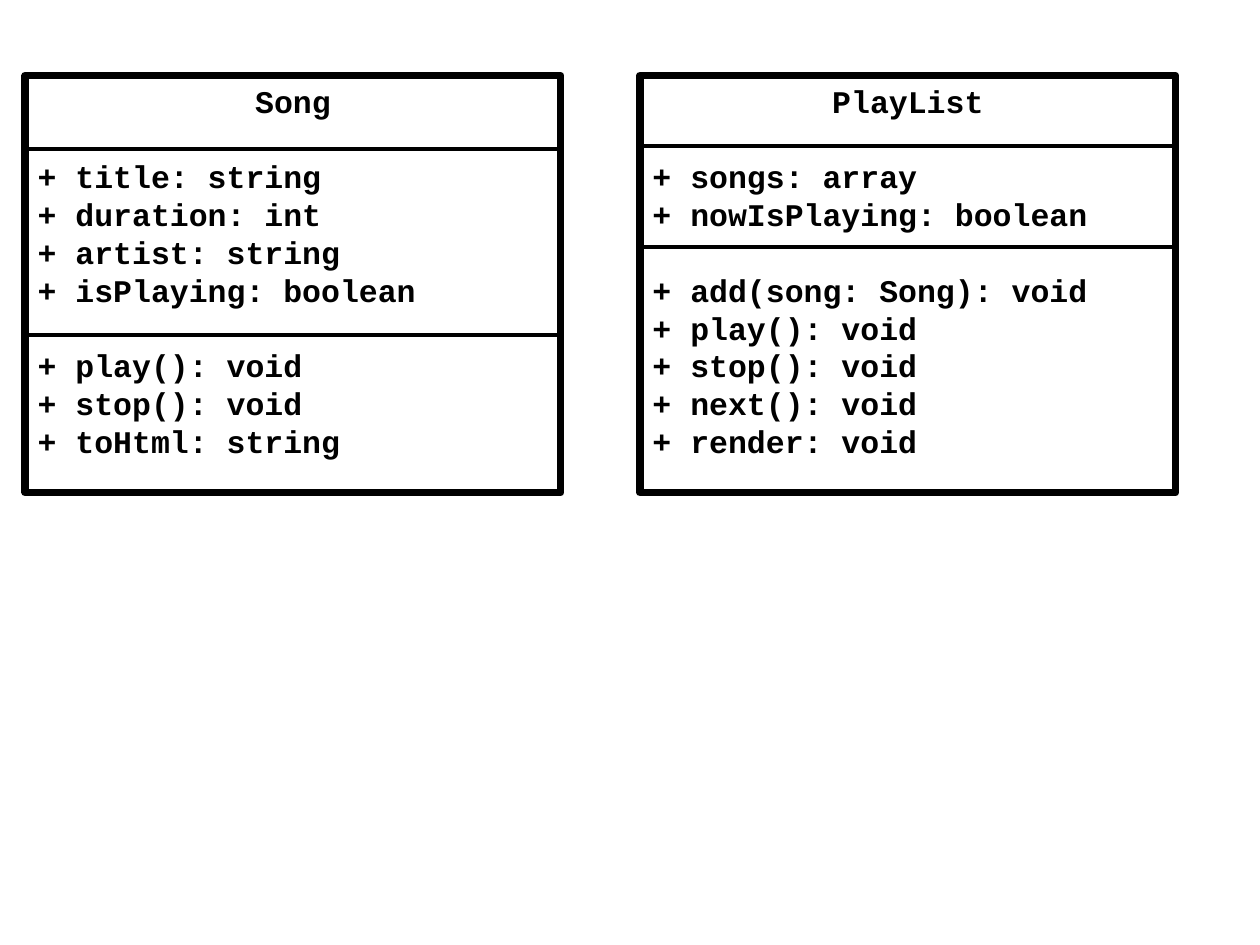
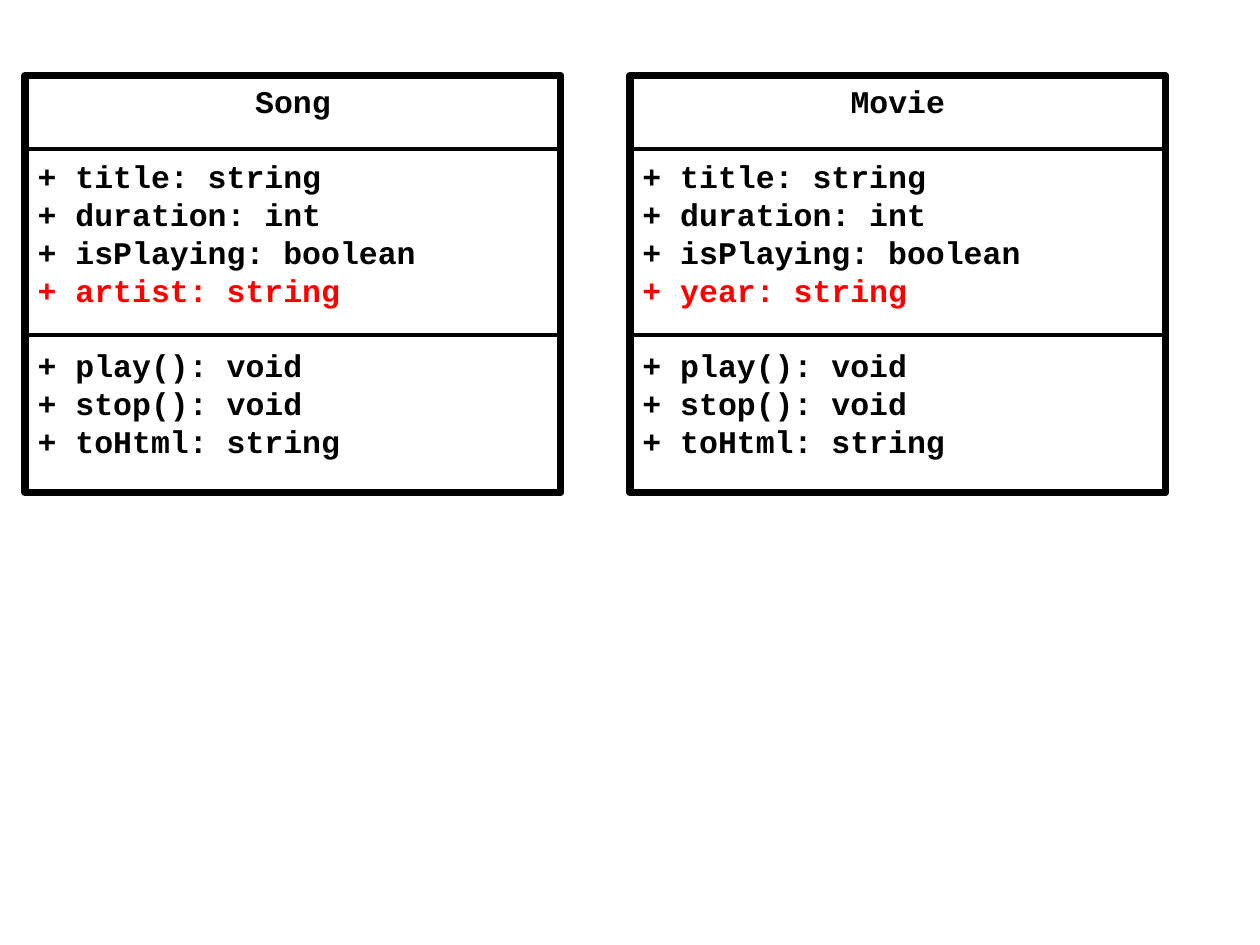
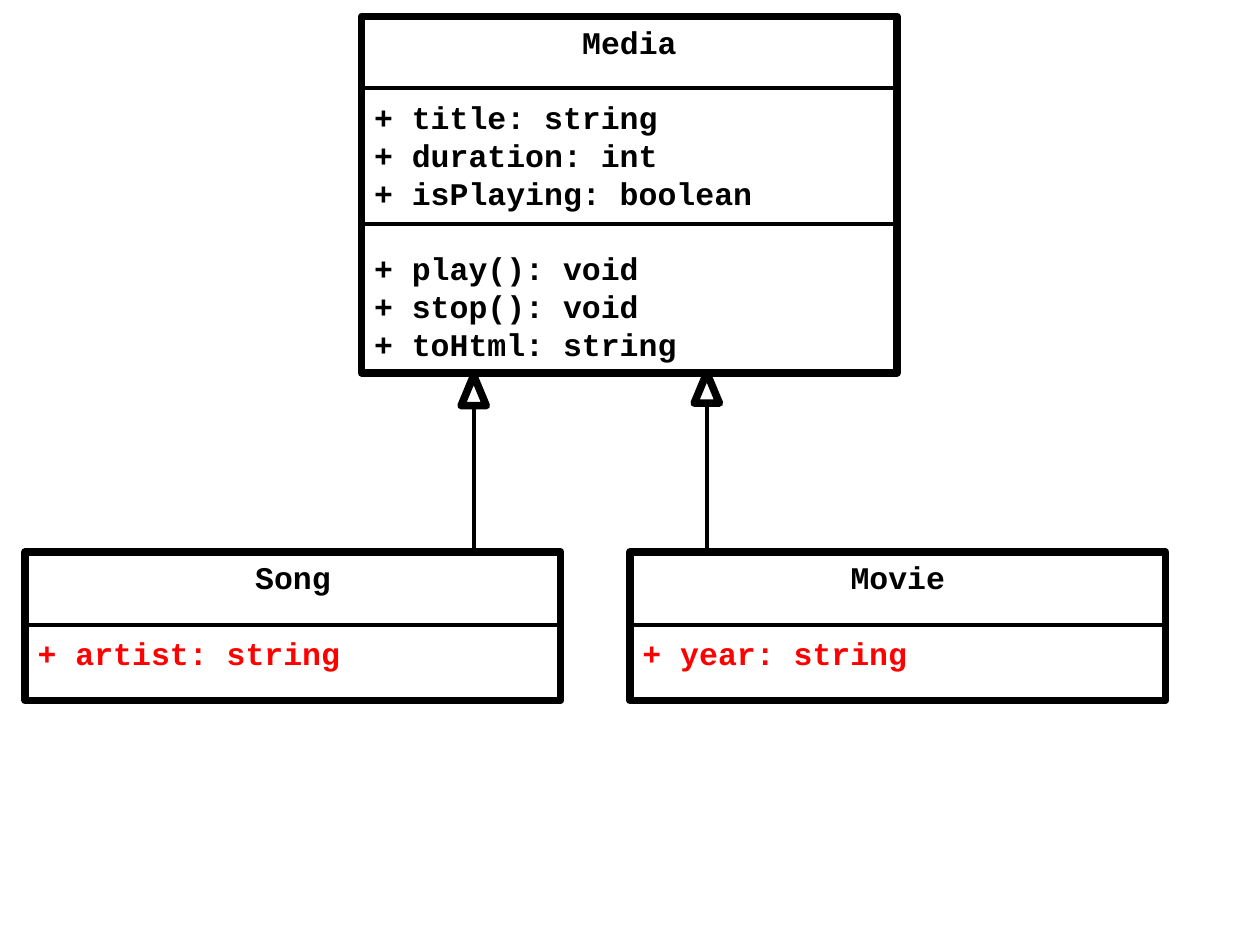
"""Build three slides of UML class diagrams for songs, playlists and movies."""
from lxml import etree
from pptx import Presentation
from pptx import util as u
from pptx.dml.color import RGBColor
from pptx.enum import shapes, text
from pptx.oxml import ns

COLOURS = {"ink": "000000", "new": "FF0000"}
FONT = "Courier New"
TEXT_SIZE = 18
SECTION_GAP = 21.6
SIDE_INSET = 0.1
TOP_INSET = 0.05
BOX_WIDTH = 4.25
BOX_TOP = 0.6
BOX_HEIGHT = 3.31
LEFT_COLUMN = 0.2
RIGHT_COLUMN = 5
OUTLINE = 4.33
DIVIDER = 2.25

COMMON_FIELDS = ["title: string", "duration: int", "isPlaying: boolean"]
COMMON_METHODS = ["play(): void", "stop(): void", "toHtml: string"]


def write(paragraph, content, colour="ink", align=text.PP_ALIGN.LEFT, before=0):
    """Fill a paragraph with formatted text."""
    paragraph.alignment = align
    paragraph.space_before = u.Pt(before)
    run = paragraph.add_run()
    run.text = content
    run.font.name = FONT
    run.font.size = u.Pt(TEXT_SIZE)
    run.font.bold = True
    run.font.color.rgb = RGBColor.from_string(COLOURS[colour])


class Diagram:
    """Draw class diagrams on the current slide."""

    def __init__(self):
        self.presentation = Presentation()
        self.presentation.slide_width = u.Inches(10)
        self.presentation.slide_height = u.Inches(7.5)
        self.slide = None

    def new_slide(self):
        """Start a blank slide."""
        self.slide = self.presentation.slides.add_slide(self.presentation.slide_layouts[6])

    def outline(self, holder, kind, left, top, width, height):
        """Add an unfilled shape with a thick outline."""
        shape = holder.add_shape(kind, *map(u.Inches, (left, top, width, height)))
        shape.shadow.inherit = False
        shape.fill.background()
        shape.line.color.rgb = RGBColor.from_string(COLOURS["ink"])
        shape.line.width = u.Pt(OUTLINE)
        return shape

    def line(self, holder, *ends):
        """Add a straight line from its two end points."""
        connector = holder.add_connector(shapes.MSO_CONNECTOR.STRAIGHT, *map(u.Inches, ends))
        connector.line.color.rgb = RGBColor.from_string(COLOURS["ink"])
        connector.line.width = u.Pt(DIVIDER)
        properties = connector._element.find(ns.qn("p:spPr"))
        etree.SubElement(properties, ns.qn("a:effectLst"))

    def class_box(self, name, left, sections, dividers=(0.58, 2.06),
                  top=BOX_TOP, height=BOX_HEIGHT, new=()):
        """Add a class with a name, member sections and dividing lines."""
        group = self.slide.shapes.add_group_shape().shapes
        box = self.outline(group, shapes.MSO_SHAPE.RECTANGLE, left, top, BOX_WIDTH, height)
        frame = box.text_frame
        frame.word_wrap = True
        frame.vertical_anchor = text.MSO_ANCHOR.TOP
        frame.margin_left = frame.margin_right = u.Inches(SIDE_INSET)
        frame.margin_top = frame.margin_bottom = u.Inches(TOP_INSET)
        write(frame.paragraphs[0], name, align=text.PP_ALIGN.CENTER)
        for members in sections:
            for index, member in enumerate(members):
                write(frame.add_paragraph(), f"+ {member}",
                      colour="new" if member in new else "ink",
                      before=0 if index else SECTION_GAP)
        for offset in dividers:
            self.line(group, left, top + offset, left + BOX_WIDTH, top + offset)

    def inheritance(self, centre, top):
        """Add a line with a hollow triangle pointing at the parent class."""
        self.line(self.slide.shapes, centre, top + 0.25, centre, top + 1.4)
        self.outline(self.slide.shapes, shapes.MSO_SHAPE.ISOSCELES_TRIANGLE,
                     centre - 0.1, top, 0.2, 0.24)


def main():
    """Build and save the slides."""
    diagram = Diagram()
    children = [("Song", LEFT_COLUMN, "artist: string"), ("Movie", RIGHT_COLUMN, "year: string")]

    diagram.new_slide()
    song_fields = ["title: string", "duration: int", "artist: string", "isPlaying: boolean"]
    diagram.class_box("Song", LEFT_COLUMN, [song_fields, COMMON_METHODS])
    playlist_methods = ["add(song: Song): void", "play(): void", "stop(): void",
                        "next(): void", "render: void"]
    diagram.class_box("PlayList", 5.08,
                      [["songs: array", "nowIsPlaying: boolean"], playlist_methods],
                      dividers=(0.56, 1.36))

    diagram.new_slide()
    for name, left, field in children:
        diagram.class_box(name, left, [COMMON_FIELDS + [field], COMMON_METHODS], new=[field])

    diagram.new_slide()
    for name, left, field in children:
        diagram.class_box(name, left, [[field]], dividers=[0.58], top=4.38, height=1.18,
                          new=[field])
    diagram.class_box("Media", 2.87, [COMMON_FIELDS, COMMON_METHODS],
                      dividers=(0.57, 1.65), top=0.13, height=2.83)
    diagram.inheritance(3.76, 2.98)
    diagram.inheritance(5.61, 2.96)

    diagram.presentation.save("out.pptx")


if __name__ == "__main__":
    main()
